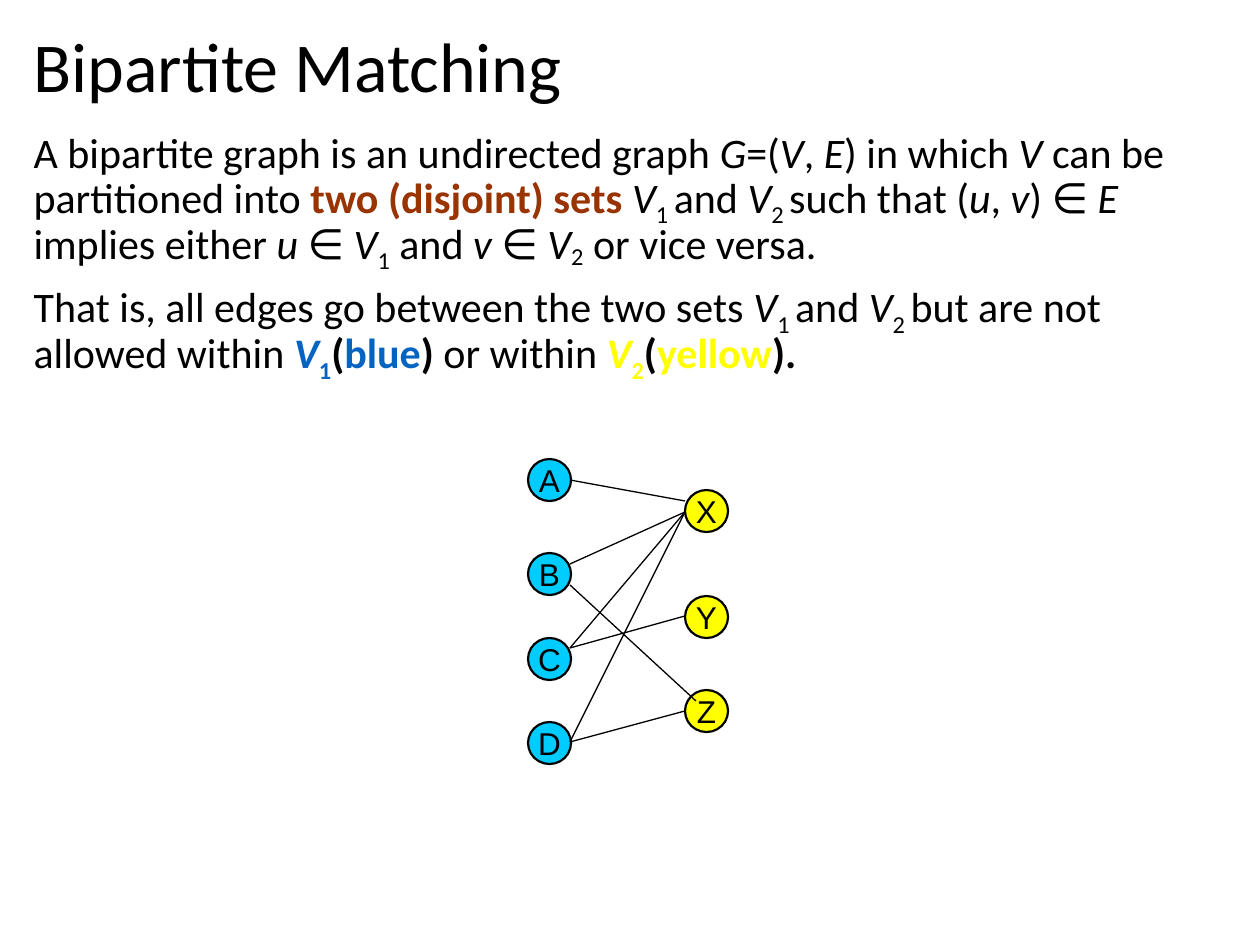
from lxml.etree import SubElement
from pptx import Presentation
from pptx.dml.color import RGBColor
from pptx.enum.shapes import MSO_CONNECTOR as Connector, MSO_SHAPE as Shape
from pptx.enum.text import MSO_ANCHOR as Anchor, MSO_AUTO_SIZE as AutoSize, PP_ALIGN as Align
from pptx.oxml.ns import qn
from pptx.util import Emu, Pt

COLORS = {
    "ink": "000000",
    "rust": "993300",
    "blue": "0563C1",
    "yellow": "FFFF00",
    "cyan": "00CCFF",
}
SCALE = 914400 / 126


def px(length):
    return Emu(round(length * SCALE))


def rgb(color):
    return RGBColor.from_string(COLORS[color])


class GraphSlide:
    text_font = "Calibri"
    node_font = "Arial"
    title_size, body_size, node_size = 40, 24, 18
    node_width, node_height = 43, 42
    node_line, edge_line = 1.25, 0.75

    def __init__(self, presentation):
        self.slide = presentation.slides.add_slide(presentation.slide_layouts[1])

    def run(self, paragraph, text, size, font, marks="", color="ink", baseline=0):
        run = paragraph.add_run()
        run.text = text
        run.font.name = font
        run.font.size = Pt(size)
        run.font.bold = "b" in marks
        run.font.italic = "i" in marks
        run.font.color.rgb = rgb(color)
        if baseline:
            run._r.get_or_add_rPr().set("baseline", str(baseline * 1000))

    def place(self, holder, box, anchor):
        holder.left, holder.top, holder.width, holder.height = map(px, box)
        frame = holder.text_frame
        frame.word_wrap = True
        frame.auto_size = AutoSize.NONE
        frame.vertical_anchor = anchor
        return frame

    def title(self, text, box):
        paragraph = self.place(self.slide.shapes.title, box, Anchor.MIDDLE).paragraphs[0]
        paragraph.alignment = Align.LEFT
        paragraph.line_spacing = 0.9
        self.run(paragraph, text, self.title_size, self.text_font)

    def body(self, passages, box):
        frame = self.place(self.slide.placeholders[1], box, Anchor.TOP)
        for index, passage in enumerate(passages):
            paragraph = frame.add_paragraph() if index else frame.paragraphs[0]
            paragraph.line_spacing = 0.8
            paragraph.space_before = Pt(10)
            properties = paragraph._p.get_or_add_pPr()
            properties.set("marL", "0")
            properties.set("indent", "0")
            SubElement(properties, qn("a:buNone"))
            for text, *style in passage:
                self.run(paragraph, text, self.body_size, self.text_font, *style)

    def node(self, label, left, top, color):
        circle = self.slide.shapes.add_shape(
            Shape.OVAL, px(left), px(top), px(self.node_width), px(self.node_height))
        circle.shadow.inherit = False
        circle.fill.solid()
        circle.fill.fore_color.rgb = rgb(color)
        circle.line.color.rgb = rgb("ink")
        circle.line.width = Pt(self.node_line)
        frame = circle.text_frame
        frame.word_wrap = False
        frame.vertical_anchor = Anchor.MIDDLE
        frame.paragraphs[0].alignment = Align.CENTER
        self.run(frame.paragraphs[0], label, self.node_size, self.node_font)

    def edge(self, start, end):
        line = self.slide.shapes.add_connector(
            Connector.STRAIGHT, *map(px, (*start, *end)))
        line.line.color.rgb = rgb("ink")
        line.line.width = Pt(self.edge_line)
        SubElement(line._element.spPr, qn("a:effectLst"))


def var(name):
    return name, "i"


def sub(text, marks="", color="ink", baseline=-25):
    return text, marks, color, baseline


TWO_SETS = [var("V"), sub("1 "), ("and ",), var("V"), sub("2 ")]


def colored_set(number, color):
    return [("V", "bi", color), sub(number, "b", color), ("(", "b"), (color, "b", color)]


DEFINITION = [
    ("A bipartite graph is an undirected graph ",), var("G"), ("=(",), var("V"),
    (", ",), var("E"), (") in which ",), var("V"), (" can be partitioned into ",),
    ("two (disjoint) sets ", "b", "rust"), *TWO_SETS,
    ("such that (",), var("u"), (", ",), var("v"), (") ∈ ",), var("E"),
    (" implies either ",), var("u"), (" ∈ ",), var("V"), sub("1"),
    (" and ",), var("v"), (" ∈ ",), var("V"), sub("2", baseline=-15),
    (" or vice versa.",),
]
CONSEQUENCE = [
    ("That is, all edges go between the two sets ",), *TWO_SETS,
    ("but are not allowed within ",), *colored_set("1", "blue"), (") ", "b"),
    ("or within ",), *colored_set("2", "yellow"), (").", "b"),
]
VERTEX_SETS = [
    (528, "cyan", {"A": 459, "B": 553, "C": 638, "D": 722}),
    (685, "yellow", {"X": 490, "Y": 596, "Z": 690}),
]
V1_EDGE, V2_EDGE = 570, 685
X_PORT = (V2_EDGE, 512)
C_PORT, D_PORT = (V1_EDGE, 648), (V1_EDGE, 742)
EDGES = [
    ((V1_EDGE, 480), (V2_EDGE, 501)),
    ((V1_EDGE, 564), X_PORT),
    (C_PORT, (V2_EDGE, 616)),
    (D_PORT, (V2_EDGE, 711)),
    (D_PORT, X_PORT),
    ((V1_EDGE, 585), (696, 701)),
    (C_PORT, X_PORT),
]


def main():
    presentation = Presentation()
    presentation.slide_width, presentation.slide_height = px(1260), px(945)
    matching = GraphSlide(presentation)
    matching.title("Bipartite Matching", (21, 23, 1212, 93))
    matching.body([DEFINITION, CONSEQUENCE], (21, 130, 1212, 722))
    for left, color, vertices in VERTEX_SETS:
        for label, top in vertices.items():
            matching.node(label, left, top, color)
    for start, end in EDGES:
        matching.edge(start, end)
    presentation.save("out.pptx")


if __name__ == "__main__":
    main()
